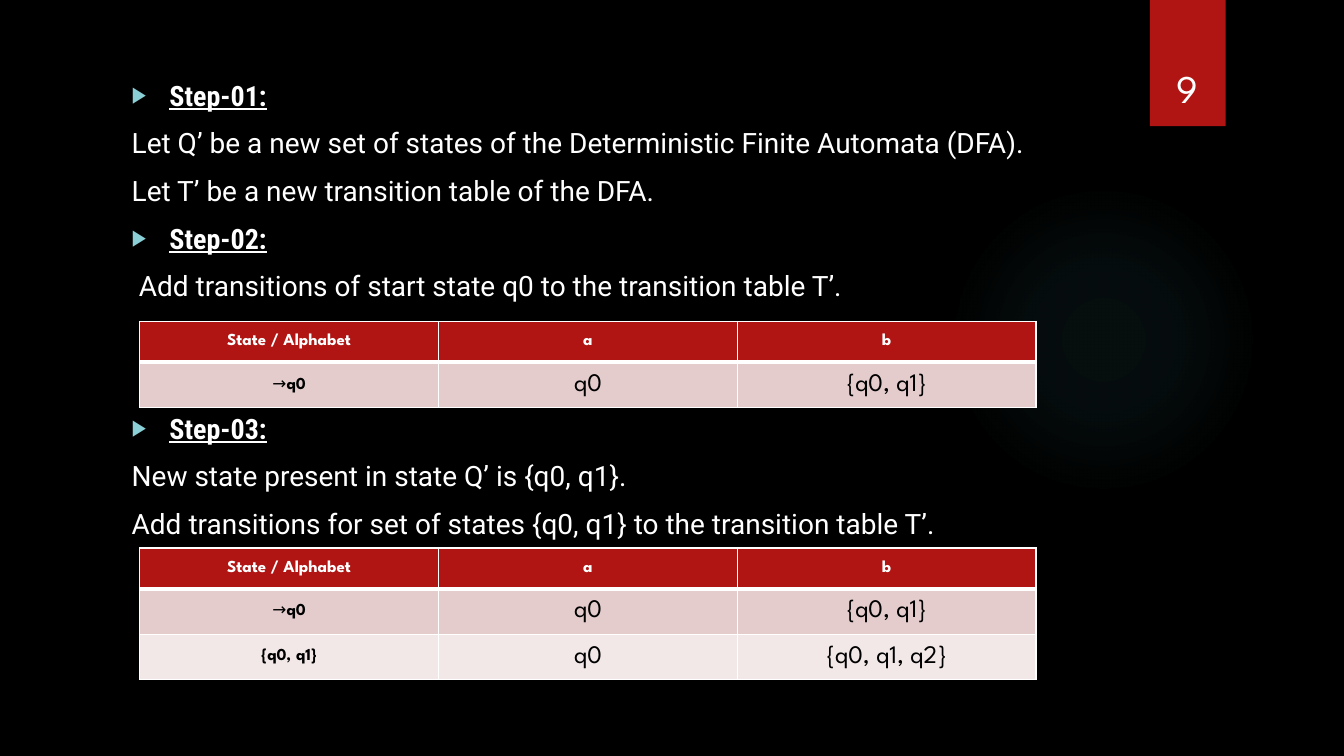
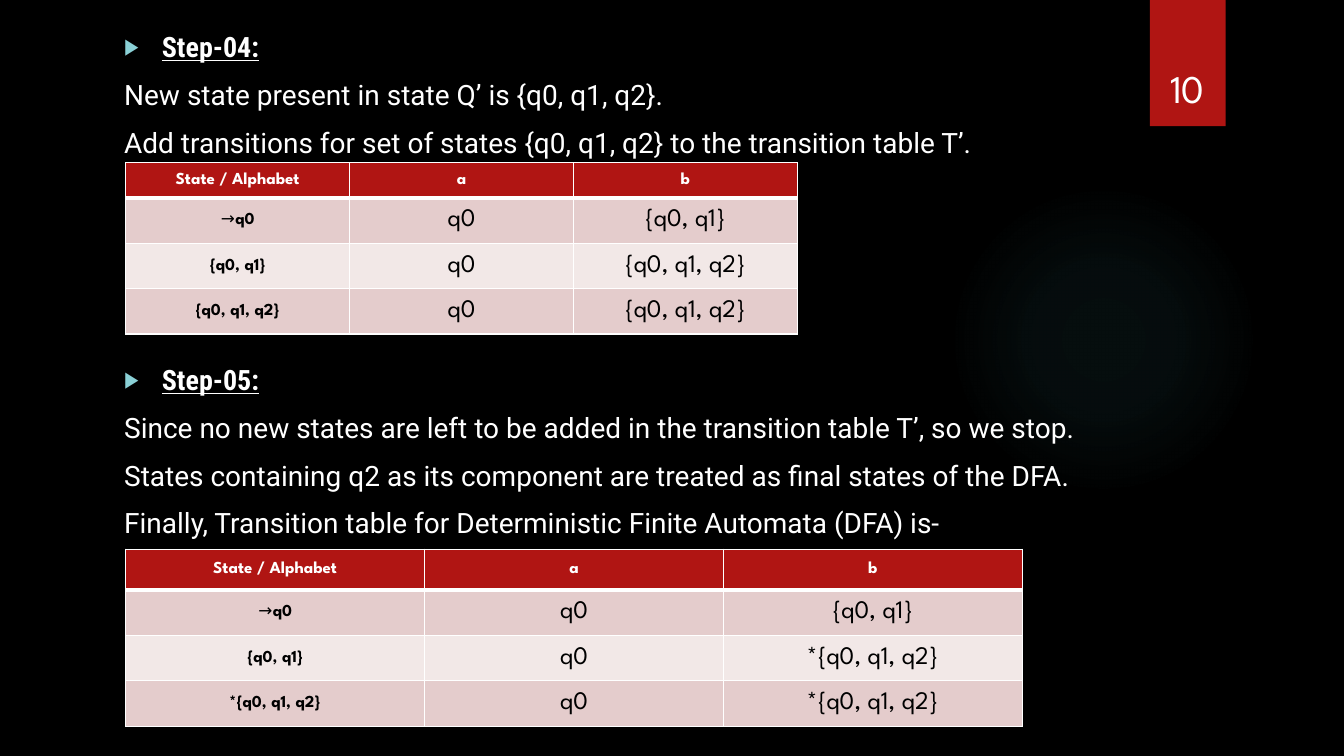
from lxml import etree
from pptx import Presentation
from pptx import util as u
from pptx.dml.color import RGBColor
from pptx.enum import shapes, text
from pptx.oxml import ns, parse_xml

# Shared colours, fonts and measures
BLACK = RGBColor(0x00, 0x00, 0x00)
WHITE = RGBColor(0xFF, 0xFF, 0xFF)
RED = RGBColor(0xB0, 0x15, 0x13)
BANDS = (RGBColor(0xE4, 0xCC, 0xCC), RGBColor(0xF2, 0xE8, 0xE7))
GLOW = RGBColor(0x50, 0xB9, 0xC1)
BULLET = RGBColor(0x8A, 0xD0, 0xD6)
BODY, HEADING, DISPLAY = "Roboto", "Roboto Condensed", "League Spartan"
ROW = 1.03
STEP_GAP = 8.39  # seven text lines, from the first box to the second
HEADER = ("State / Alphabet", "a", "b")


def style(r, name, size, color, bold=False, underline=False):
    f = r.font
    f.name, f.size, f.bold, f.underline = name, u.Pt(size), bold, underline
    f.color.rgb = color


def add_glow(s):
    sp = s.shapes.add_shape(shapes.MSO_SHAPE.OVAL, u.Cm(23.9), u.Cm(4.65),
                            u.Cm(7.82), u.Cm(7.82))
    sp.shadow.inherit = False
    sp.line.fill.background()
    sp.fill.background()
    stops = "".join(
        f'<a:gs pos="{pos}000"><a:srgbClr val="{GLOW}">'
        f'<a:alpha val="{alpha}000"/></a:srgbClr></a:gs>'
        for pos, alpha in ((0, 7), (36, 6), (69, 0)))
    grad = parse_xml(
        f'<a:gradFill {ns.nsdecls("a")}><a:gsLst>{stops}</a:gsLst>'
        '<a:path path="circle"><a:fillToRect l="50000" t="50000" '
        'r="50000" b="50000"/></a:path></a:gradFill>')
    no_fill = sp.element.spPr.find(ns.qn("a:noFill"))
    sp.element.spPr.replace(no_fill, grad)


def add_page_tab(s, number):
    sp = s.shapes.add_shape(shapes.MSO_SHAPE.RECTANGLE, u.Cm(28.98), 0,
                            u.Cm(1.91), u.Cm(3.18))
    sp.shadow.inherit = False
    sp.fill.solid()
    sp.fill.fore_color.rgb = RED
    sp.line.fill.background()
    tf = s.shapes.add_textbox(u.Cm(28.76), u.Cm(0.81),
                              u.Cm(2.33), u.Cm(2.13)).text_frame
    tf.word_wrap = True
    tf.vertical_anchor = text.MSO_ANCHOR.BOTTOM
    p = tf.paragraphs[0]
    p.text = str(number)
    p.alignment = text.PP_ALIGN.CENTER
    style(p.runs[0], DISPLAY, 28, WHITE)


def add_bullet(p):
    pPr = p._p.get_or_add_pPr()
    pPr.set("marL", str(u.Cm(0.95)))
    pPr.set("indent", str(-u.Cm(0.95)))
    color = etree.SubElement(pPr, ns.qn("a:buClr"))
    etree.SubElement(color, ns.qn("a:srgbClr"), val=str(BULLET))
    etree.SubElement(pPr, ns.qn("a:buSzPct"), val="80000")
    etree.SubElement(pPr, ns.qn("a:buFont"), typeface="Arial")
    etree.SubElement(pPr, ns.qn("a:buChar"), char="▶")


def add_steps(s, left, top, lines):
    """Lines starting with "Step-" become bulleted headings."""
    tf = s.shapes.add_textbox(u.Cm(left), u.Cm(top), u.Cm(25.5),
                              u.Cm(1.2 * len(lines))).text_frame
    tf.word_wrap = True
    for i, line in enumerate(lines):
        p = tf.add_paragraph() if i else tf.paragraphs[0]
        p.text = line
        heading = line.startswith("Step-")
        if heading:
            add_bullet(p)
        if i:
            p.space_before = u.Pt(10)
        style(p.runs[0], HEADING if heading else BODY, 20, WHITE,
              heading, heading)
    return tf


def set_borders(cell, top=1, bottom=1):
    tcPr = cell._tc.get_or_add_tcPr()
    for i, (side, width) in enumerate(
            (("L", 1), ("R", 1), ("T", top), ("B", bottom))):
        tcPr.insert(i, parse_xml(
            f'<a:ln{side} {ns.nsdecls("a")} w="{u.Pt(width)}"><a:solidFill>'
            f'<a:srgbClr val="{WHITE}"/></a:solidFill></a:ln{side}>'))


def fill_cell(cell, value, row, col):
    cell.margin_left = cell.margin_right = u.Cm(0.25)
    cell.margin_top = cell.margin_bottom = u.Cm(0.19)
    cell.vertical_anchor = text.MSO_ANCHOR.MIDDLE
    cell.fill.solid()
    cell.fill.fore_color.rgb = BANDS[(row - 1) % 2] if row else RED
    set_borders(cell, top=3 if row == 1 else 1, bottom=1 if row else 3)
    p = cell.text_frame.paragraphs[0]
    p.alignment = text.PP_ALIGN.CENTER
    label = row == 0 or col == 0
    # The start arrow is a light run before the bold state name
    parts = ("→", value[1:]) if value.startswith("→") else (value,)
    for part in parts:
        r = p.add_run()
        r.text = part
        style(r, DISPLAY, 12 if label else 18, BLACK if row else WHITE,
              label and part != "→")


def add_transitions(s, left, top, rows, col_width=7.53, header=ROW, row=ROW):
    data = (HEADER, *rows)
    heights = [header] + [row] * len(rows)
    table = s.shapes.add_table(
        len(data), len(HEADER), u.Cm(left), u.Cm(top),
        u.Cm(col_width * len(HEADER)), u.Cm(sum(heights))).table
    for column in table.columns:
        column.width = u.Cm(col_width)
    for i, (values, height) in enumerate(zip(data, heights)):
        table.rows[i].height = u.Cm(height)
        for j, value in enumerate(values):
            fill_cell(table.cell(i, j), value, i, j)


def add_slide(prs, number):
    s = prs.slides.add_slide(prs.slide_layouts[6])
    add_glow(s)
    add_page_tab(s, number)
    return s


def main():
    prs = Presentation()
    prs.slide_width, prs.slide_height = u.Cm(33.87), u.Cm(19.05)
    fill = prs.slide_master.background.fill
    fill.solid()
    fill.fore_color.rgb = BLACK

    start = ("→q0", "q0", "{q0, q1}")
    second = ("{q0, q1}", "q0", "{q0, q1, q2}")
    third = ("{q0, q1, q2}", "q0", "{q0, q1, q2}")

    # Steps 1 to 3
    s = add_slide(prs, 9)
    left, top = 3.07, 1.85
    tf = add_steps(s, left, top, (
        "Step-01:",
        "Let Q’ be a new set of states of the Deterministic Finite Automata (DFA).",
        "Let T’ be a new transition table of the DFA.",
        "Step-02:",
        "Add transitions of start state q0 to the transition table T’."))
    tf.paragraphs[-1]._p.get_or_add_pPr().set("marL", str(u.Cm(0.18)))
    add_steps(s, left, top + STEP_GAP, (
        "Step-03:",
        "New state present in state Q’ is {q0, q1}.",
        "Add transitions for set of states {q0, q1} to the transition table T’."))
    add_transitions(s, 3.52, 8.1, (start,))
    add_transitions(s, 3.52, 13.81, (start, second))

    # Steps 4 and 5
    s = add_slide(prs, 10)
    left, top = 2.88, 0.63
    add_steps(s, left, top, (
        "Step-04:",
        "New state present in state Q’ is {q0, q1, q2}.",
        "Add transitions for set of states {q0, q1, q2} to the transition table T’."))
    add_steps(s, left, top + STEP_GAP, (
        "Step-05:",
        "Since no new states are left to be added in the transition table T’, so we stop.",
        "States containing q2 as its component are treated as final states of the DFA.",
        "Finally, Transition table for Deterministic Finite Automata (DFA) is-"))
    add_transitions(s, 3.17, 4.1, (start, second, third),
                    col_width=5.64, header=0.87, row=1.01)
    add_transitions(s, 3.17, 13.84, (
        start,
        ("{q0, q1}", "q0", "*{q0, q1, q2}"),
        ("*{q0, q1, q2}", "q0", "*{q0, q1, q2}")))

    prs.save("out.pptx")


if __name__ == "__main__":
    main()
